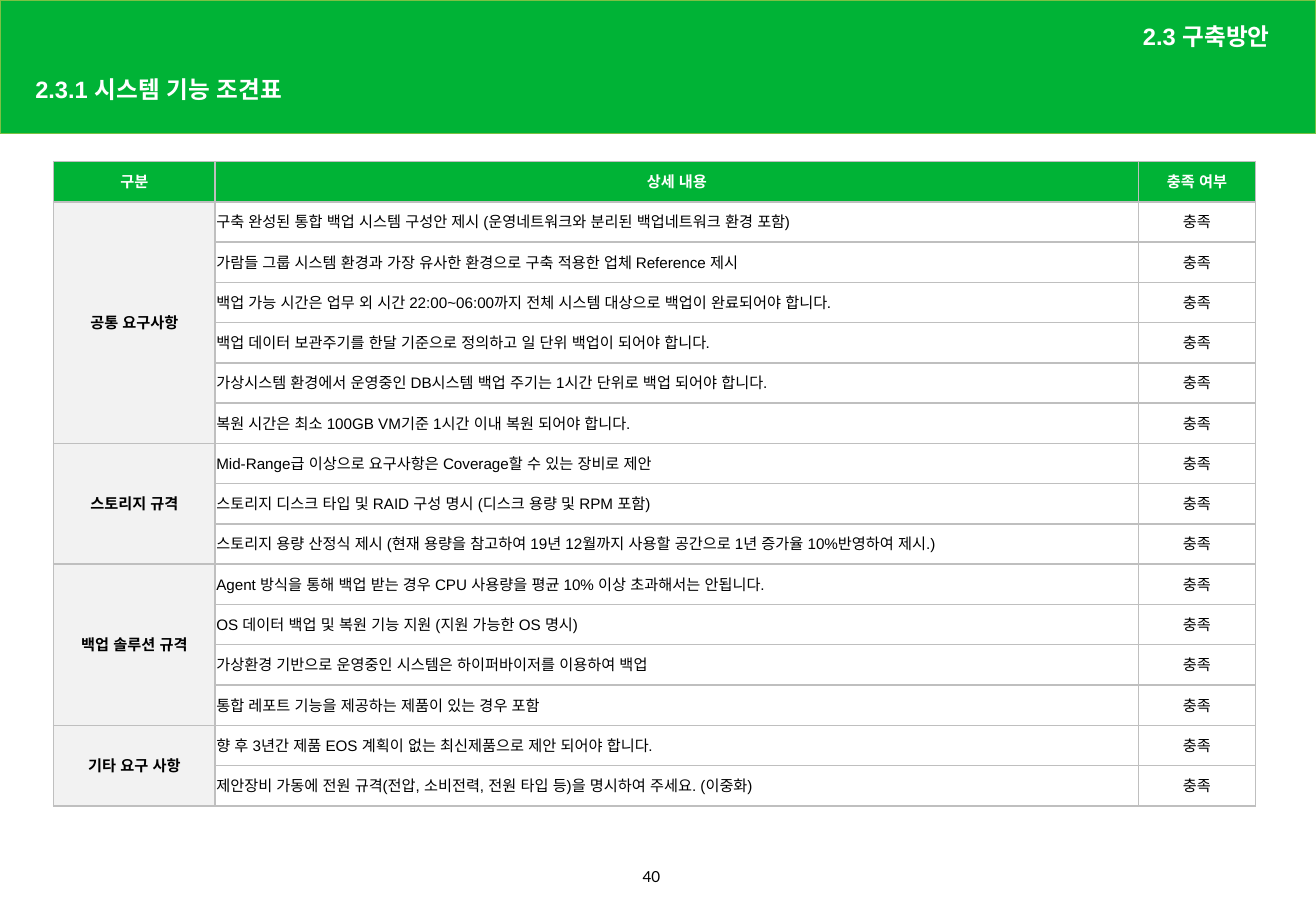
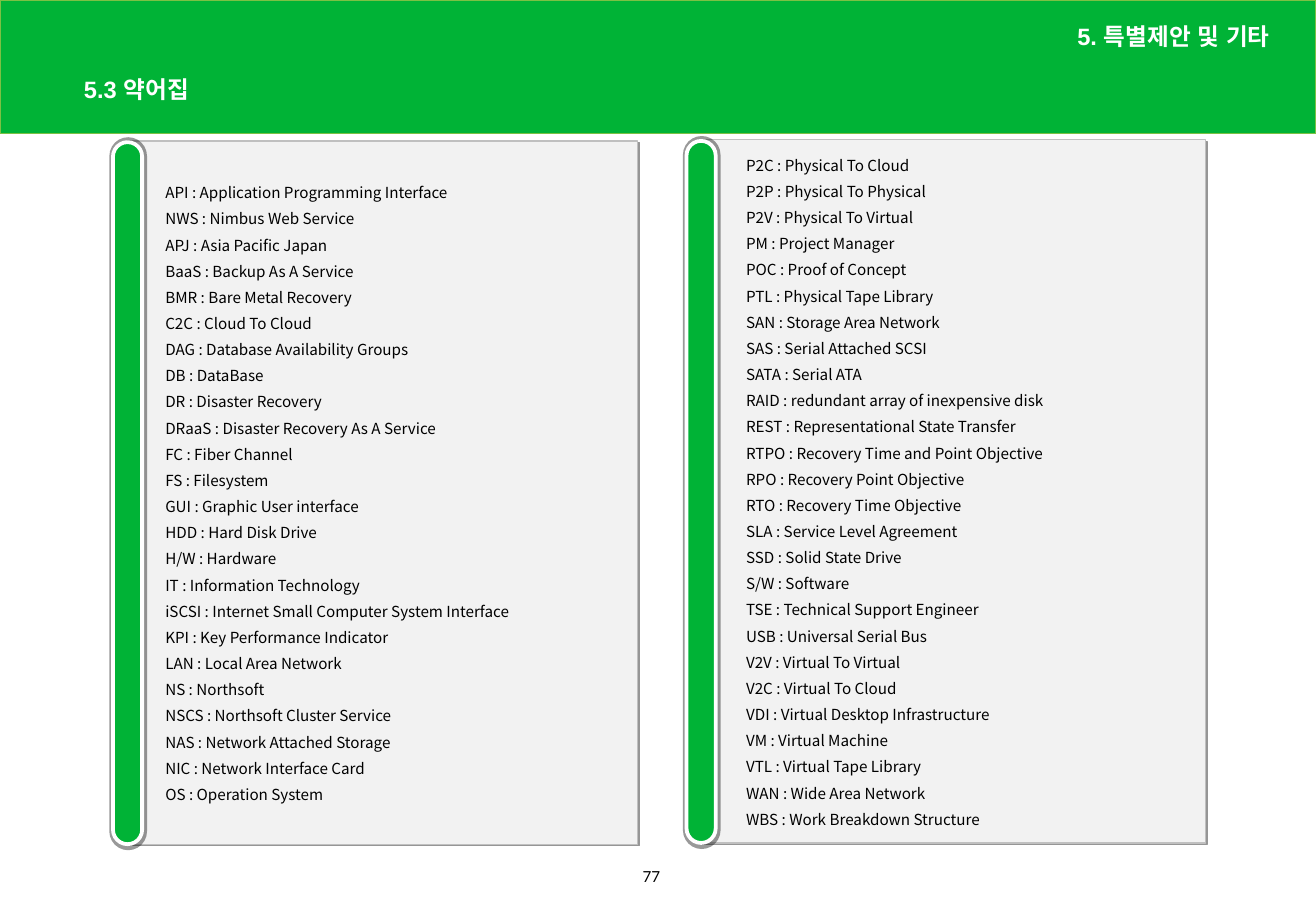
"""Build a requirements checklist slide and a glossary slide."""
from lxml import etree
from pptx import Presentation
from pptx.dml.color import RGBColor
from pptx.enum.shapes import MSO_SHAPE
from pptx.enum.text import MSO_ANCHOR, MSO_AUTO_SIZE, PP_ALIGN
from pptx.oxml import parse_xml
from pptx.oxml.ns import nsdecls, qn
from pptx.util import Inches, Pt

RECT, PILL = MSO_SHAPE.RECTANGLE, MSO_SHAPE.ROUNDED_RECTANGLE
LEFT, CENTER, RIGHT = PP_ALIGN.LEFT, PP_ALIGN.CENTER, PP_ALIGN.RIGHT
MIDDLE, TOP, NO_FIT = MSO_ANCHOR.MIDDLE, MSO_ANCHOR.TOP, MSO_AUTO_SIZE.NONE

THEME = {
    "green": "00B336", "band_line": "7BC144", "panel": "F2F2F2",
    "panel_line": "C0C0C0", "shadow": "969696", "grid": "BFBFBF",
    "white": "FFFFFF", "black": "000000", "east_asian": "Arial",
}
HEADING = {"size": Pt(14), "bold": True, "name": "Arial", "color": THEME["white"]}
HEADING_KO = {**HEADING, "name": "Lato"}
BODY = {"size": Pt(9), "bold": False, "name": "Arial", "color": THEME["black"]}
LABEL = {**BODY, "bold": True}
HEADER = {**LABEL, "color": THEME["white"]}
PAGE = {**BODY, "name": "Lato"}
TERM = {**BODY, "name": "Noto Sans CJK KR"}

FRAME = {"word_wrap": True, "auto_size": NO_FIT, "vertical_anchor": MIDDLE}
TERM_FRAME = {**FRAME, "margin_left": Inches(0.02), "margin_right": Inches(0.06)}
CELL = {"vertical_anchor": MIDDLE, "margin_left": Inches(0.01),
        "margin_right": Inches(0.01), "margin_top": Inches(0.01), "margin_bottom": 0}

SLIDES = [
    {"title": [("2.3.1 ", HEADING), ("시스템 기능 조견표", HEADING_KO)],
     "title_x": 0.19, "chapter": "2.3 구축방안", "page": "40"},
    {"title": [("5.3 약어집", HEADING)],
     "title_x": 0.59, "chapter": "5. 특별제안 및 기타", "page": "77"},
]
COLUMNS = [("구분", 1.33), ("상세 내용", 7.6), ("충족 여부", 0.96)]
REQUIREMENTS = {
    "공통 요구사항": [
        "구축 완성된 통합 백업 시스템 구성안 제시 (운영네트워크와 분리된 백업네트워크 환경 포함)",
        "가람들 그룹 시스템 환경과 가장 유사한 환경으로 구축 적용한 업체 Reference 제시",
        "백업 가능 시간은 업무 외 시간 22:00~06:00까지 전체 시스템 대상으로 백업이 완료되어야 합니다.",
        "백업 데이터 보관주기를 한달 기준으로 정의하고 일 단위 백업이 되어야 합니다.",
        "가상시스템 환경에서 운영중인 DB시스템 백업 주기는 1시간 단위로 백업 되어야 합니다.",
        "복원 시간은 최소 100GB VM기준 1시간 이내 복원 되어야 합니다.",
    ],
    "스토리지 규격": [
        "Mid-Range급 이상으로 요구사항은 Coverage할 수 있는 장비로 제안",
        "스토리지 디스크 타입 및 RAID 구성 명시 (디스크 용량 및 RPM 포함)",
        "스토리지 용량 산정식 제시 (현재 용량을 참고하여 19년 12월까지 사용할 공간으로 "
        "1년 증가율 10%반영하여 제시.)",
    ],
    "백업 솔루션 규격": [
        "Agent 방식을 통해 백업 받는 경우 CPU 사용량을 평균 10% 이상 초과해서는 안됩니다.",
        "OS 데이터 백업 및 복원 기능 지원 (지원 가능한 OS 명시)",
        "가상환경 기반으로 운영중인 시스템은 하이퍼바이저를 이용하여 백업",
        "통합 레포트 기능을 제공하는 제품이 있는 경우 포함",
    ],
    "기타 요구 사항": [
        "향 후 3년간 제품 EOS 계획이 없는 최신제품으로 제안 되어야 합니다.",
        "제안장비 가동에 전원 규격(전압, 소비전력, 전원 타입 등)을 명시하여 주세요. (이중화)",
    ],
}
GLOSSARY = [
    {"panel": (1.05, 1.16, 4.2, 5.79), "pill_x": 0.9, "text": (1.34, 1.16, 3.99, 5.79),
     "terms": [
        "API : Application Programming Interface",
        "NWS : Nimbus Web Service",
        "APJ : Asia Pacific Japan",
        "BaaS : Backup As A Service",
        "BMR : Bare Metal Recovery",
        "C2C : Cloud To Cloud",
        "DAG : Database Availability Groups",
        "DB : DataBase",
        "DR : Disaster Recovery",
        "DRaaS : Disaster Recovery As A Service",
        "FC : Fiber Channel",
        "FS : Filesystem",
        "GUI : Graphic User interface",
        "HDD : Hard Disk Drive",
        "H/W : Hardware",
        "IT : Information Technology",
        "iSCSI : Internet Small Computer System Interface",
        "KPI : Key Performance Indicator",
        "LAN : Local Area Network",
        "NS : Northsoft",
        "NSCS : Northsoft Cluster Service",
        "NAS : Network Attached Storage",
        "NIC : Network Interface Card",
        "OS : Operation System",
    ]},
    {"panel": (5.76, 1.15, 4.16, 5.79), "pill_x": 5.62, "text": (6.12, 1.08, 4.36, 5.93),
     "terms": [
        "P2C : Physical To Cloud",
        "P2P : Physical To Physical",
        "P2V : Physical To Virtual",
        "PM : Project Manager",
        "POC : Proof of Concept",
        "PTL : Physical Tape Library",
        "SAN : Storage Area Network",
        "SAS : Serial Attached SCSI",
        "SATA : Serial ATA",
        "RAID : redundant array of inexpensive disk",
        "REST : Representational State Transfer",
        "RTPO : Recovery Time and Point Objective",
        "RPO : Recovery Point Objective",
        "RTO : Recovery Time Objective",
        "SLA : Service Level Agreement",
        "SSD : Solid State Drive",
        "S/W : Software",
        "TSE : Technical Support Engineer",
        "USB : Universal Serial Bus",
        "V2V : Virtual To Virtual",
        "V2C : Virtual To Cloud",
        "VDI : Virtual Desktop Infrastructure",
        "VM : Virtual Machine",
        "VTL : Virtual Tape Library",
        "WAN : Wide Area Network",
        "WBS : Work Breakdown Structure",
    ]},
]


def put_text(tf, lines, para, frame):
    """Fill a text frame with lines, each a list of (text, style) runs."""
    for key, value in frame.items():
        setattr(tf, key, value)
    for i, runs in enumerate(lines):
        p = tf.add_paragraph() if i else tf.paragraphs[0]
        for key, value in para.items():
            if i or key != "space_before":
                setattr(p, key, value)
        for text, style in runs:
            r = p.add_run()
            r.text = text
            for key, value in style.items():
                if key == "color":
                    r.font.color.rgb = RGBColor.from_string(value)
                else:
                    setattr(r.font, key, value)
            ea = etree.SubElement(r._r.get_or_add_rPr(), qn("a:ea"))
            ea.set("typeface", THEME["east_asian"])


def put_shape(s, kind, box, fill, line=None, width=1):
    """Add a filled preset shape without the default shadow."""
    sp = s.shapes.add_shape(kind, *map(Inches, box))
    sp.shadow.inherit = False
    sp.fill.solid()
    sp.fill.fore_color.rgb = RGBColor.from_string(fill)
    if line:
        sp.line.color.rgb = RGBColor.from_string(line)
        sp.line.width = Pt(width)
    else:
        sp.line.fill.background()
    if kind == PILL:
        sp.adjustments[0] = 0.5
    return sp


prs = Presentation()
prs.slide_width, prs.slide_height = Inches(10.83), Inches(7.5)
layout = prs.slide_layouts[5]

for info in SLIDES:
    s = prs.slides.add_slide(layout)
    band = put_shape(s, RECT, (0, 0, 10.83, 1.1), THEME["green"], THEME["band_line"])
    s.shapes._spTree.insert(2, band._element)
    title = s.shapes.title
    place = {"left": info["title_x"], "top": 0.59, "width": 6.4, "height": 0.31}
    for key, value in place.items():
        setattr(title, key, Inches(value))
    put_text(title.text_frame, [info["title"]],
             {"alignment": LEFT, "line_spacing": 0.9}, FRAME)
    chapter = s.shapes.add_textbox(Inches(5.75), Inches(0.12), Inches(4.8), Inches(0.39))
    put_text(chapter.text_frame, [[(info["chapter"], HEADING)]],
             {"alignment": RIGHT, "line_spacing": 0.9}, FRAME)
    page = s.shapes.add_textbox(Inches(5.19), Inches(7.09), Inches(0.45), Inches(0.28))
    put_text(page.text_frame, [[(info["page"], PAGE)]], {},
             {**FRAME, "vertical_anchor": TOP})

checklist, glossary = prs.slides

rows = [[(name, HEADER, CENTER, THEME["green"]) for name, _ in COLUMNS]]
for group, details in REQUIREMENTS.items():
    for i, detail in enumerate(details):
        rows.append([("" if i else group, LABEL, CENTER, THEME["panel"]),
                     (detail, BODY, LEFT, None), ("충족", BODY, CENTER, None)])

table = checklist.shapes.add_table(len(rows), len(COLUMNS), Inches(0.44), Inches(1.33),
                                   Inches(9.89), Inches(5.31)).table
table.horz_banding = False
for column, (_, width) in zip(table.columns, COLUMNS):
    column.width = Inches(width)
for y, row in enumerate(rows):
    for x, (text, style, align, fill) in enumerate(row):
        cell = table.cell(y, x)
        for key, value in CELL.items():
            setattr(cell, key, value)
        if text:
            put_text(cell.text_frame, [[(text, style)]], {"alignment": align}, {})
        tc_pr = cell._tc.get_or_add_tcPr()
        for side in "LRTB":
            tc_pr.append(parse_xml(
                f'<a:ln{side} {nsdecls("a")} w="12700"><a:solidFill>'
                f'<a:srgbClr val="{THEME["grid"]}"/></a:solidFill></a:ln{side}>'))
        if fill:
            cell.fill.solid()
            cell.fill.fore_color.rgb = RGBColor.from_string(fill)
        else:
            cell.fill.background()
first = 1
for details in REQUIREMENTS.values():
    last = first + len(details) - 1
    table.cell(first, 0).merge(table.cell(last, 0))
    first = last + 1

for column in GLOSSARY:
    x, y = column["pill_x"], column["panel"][1]
    panel = put_shape(glossary, RECT, column["panel"], THEME["panel"],
                      THEME["panel_line"], 0.75)
    panel._element.spPr.find(qn("a:effectLst")).append(parse_xml(
        f'<a:outerShdw {nsdecls("a")} dist="17780" dir="2700000" algn="ctr" '
        f'rotWithShape="0"><a:srgbClr val="{THEME["shadow"]}"/></a:outerShdw>'))
    rim = put_shape(glossary, PILL, (x, y - 0.03, 0.31, 5.87), THEME["black"])
    rim_color = rim._element.spPr.find(qn("a:solidFill"))[0]
    etree.SubElement(rim_color, qn("a:alpha")).set("val", "40000")
    put_shape(glossary, PILL, (x + 0.03, y + 0.01, 0.24, 5.78), THEME["green"],
              THEME["white"], 2.25)
    box = glossary.shapes.add_textbox(*map(Inches, column["text"]))
    put_text(box.text_frame, [[(term, TERM)] for term in column["terms"]],
             {"line_spacing": 1.1, "space_before": Pt(3.6)}, TERM_FRAME)

prs.save("out.pptx")
